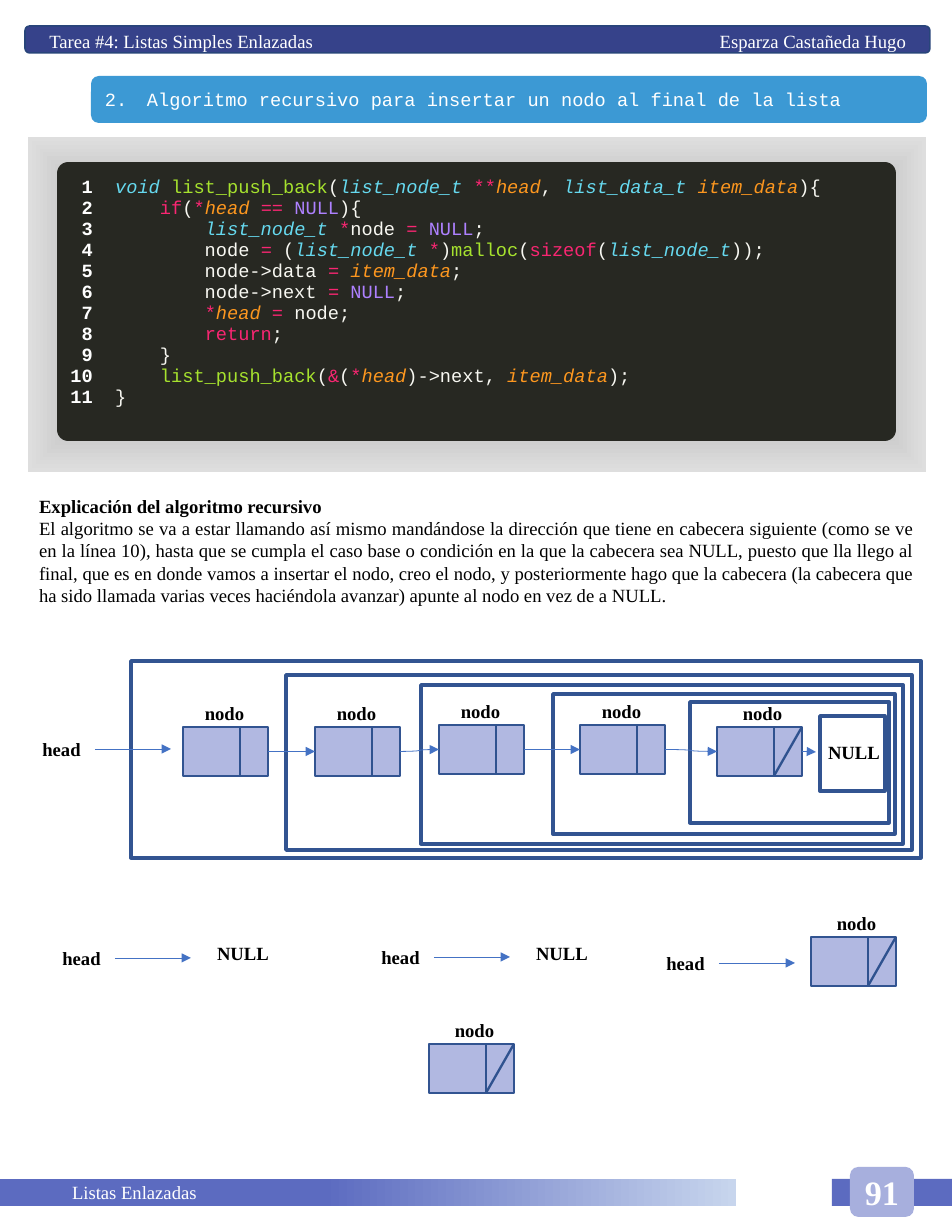
"""Build the page on recursive insertion at the end of a linked list."""
from dataclasses import dataclass
from itertools import groupby

from lxml import etree
from pptx import Presentation
from pptx.dml.color import RGBColor
from pptx.enum.shapes import MSO_CONNECTOR as Link, MSO_SHAPE as Shape
from pptx.enum.text import MSO_ANCHOR as Anchor, MSO_AUTO_SIZE as AutoSize, PP_ALIGN as Align
from pptx.oxml import parse_xml
from pptx.oxml.ns import nsdecls, qn
from pptx.util import Inches, Pt


@dataclass(frozen=True)
class Theme:
    serif: str = "Times New Roman"
    mono: str = "Courier New"
    body: int = 12
    page: int = 22
    black: str = "000000"
    white: str = "FFFFFF"
    header: str = "36428A"
    header_edge: str = "28457A"
    title: str = "3C99D4"
    editor: str = "272822"
    cell: str = "B1B8E1"
    edge: str = "325491"
    divider: str = "2F528F"
    arrow: str = "4472C4"
    footer: str = "5C6BC0"
    footer_end: str = "C7D5ED"
    badge: str = "A7AFDD"
    plain: str = "F8F8F2"
    type_name: str = "66D9EF"
    function: str = "A6E22E"
    keyword: str = "F92672"
    argument: str = "FD971F"
    constant: str = "AE81FF"


theme = Theme()
PX = Inches(1) // 112


def add_block(shapes, kind, box, fill=None, edge=None, width=1.5):
    block = shapes.add_shape(kind, *(n * PX for n in box))
    block.shadow.inherit = False
    if fill:
        block.fill.solid()
        block.fill.fore_color.rgb = RGBColor.from_string(fill)
    else:
        block.fill.background()
    if edge:
        block.line.color.rgb = RGBColor.from_string(edge)
        block.line.width = Pt(width)
    else:
        block.line.fill.background()
    return block


def write(frame, text, color, size=theme.body, bold=False, font=theme.serif, align=Align.LEFT):
    frame.text = text
    for paragraph in frame.paragraphs:
        paragraph.alignment = align
        for run in paragraph.runs:
            run.font.name, run.font.size, run.font.bold = font, Pt(size), bold
            run.font.color.rgb = RGBColor.from_string(color)


deck = Presentation()
deck.slide_width, deck.slide_height = Inches(8.5), Inches(11)
slide = deck.slides.add_slide(deck.slide_layouts[5])
shapes = slide.shapes

header = add_block(shapes, Shape.ROUNDED_RECTANGLE, (25, 26, 905, 27), theme.header, theme.header_edge, 1)
write(header.text_frame, "Tarea #4: Listas Simples Enlazadas\tEsparza Castañeda Hugo", theme.white)
header.text_frame.margin_left, header.text_frame.margin_right = 23 * PX, 11 * PX
header.text_frame.margin_top, header.text_frame.margin_bottom = 4 * PX, 0
header.text_frame.vertical_anchor = Anchor.MIDDLE
tabs = etree.SubElement(header.text_frame.paragraphs[0]._p.get_or_add_pPr(), qn("a:tabLst"))
etree.SubElement(tabs, qn("a:tab"), pos=str(857 * PX), algn="r")

title_box = (91, 76, 836, 47)
add_block(shapes, Shape.ROUNDED_RECTANGLE, title_box, theme.title)
title = shapes.title
title.left, title.top, title.width, title.height = (n * PX for n in title_box)
write(title.text_frame, "Algoritmo recursivo para insertar un nodo al final de la lista", theme.white, font=theme.mono)
title.text_frame.margin_left = 14 * PX
title.text_frame.vertical_anchor = Anchor.MIDDLE
title.text_frame.auto_size = AutoSize.NONE
numbering = title.text_frame.paragraphs[0]._p.get_or_add_pPr()
numbering.set("marL", str(42 * PX))
numbering.set("indent", str(-42 * PX))
etree.SubElement(numbering, qn("a:buAutoNum"), type="arabicPeriod", startAt="2")
title._element.getparent().append(title._element)

backdrop = add_block(shapes, Shape.RECTANGLE, (28, 137, 898, 335), theme.white)
backdrop_fill = backdrop._element.spPr.find(qn("a:solidFill"))
stops = "".join(
    f'<a:gs pos="{percent}000"><a:srgbClr val="{color}"/></a:gs>'
    for percent, color in ((11, "7B7B7B"), (61, "BCBCBC"), (100, "DEDEDE"))
)
backdrop_fill.getparent().replace(backdrop_fill, parse_xml(
    f'<a:gradFill {nsdecls("a")}><a:gsLst>{stops}</a:gsLst><a:path path="rect">'
    '<a:fillToRect l="50000" t="50000" r="50000" b="50000"/></a:path></a:gradFill>'
))
editor = add_block(shapes, Shape.ROUNDED_RECTANGLE, (57, 162, 839, 279), theme.editor)
editor.adjustments[0] = 0.04

code = """void list_push_back(list_node_t **head, list_data_t item_data){
    if(*head == NULL){
        list_node_t *node = NULL;
        node = (list_node_t *)malloc(sizeof(list_node_t));
        node->data = item_data;
        node->next = NULL;
        *head = node;
        return;
    }
    list_push_back(&(*head)->next, item_data);
}"""
syntax = {
    theme.type_name: ("void", "list_node_t", "list_data_t"),
    theme.function: ("list_push_back", "malloc"),
    theme.keyword: ("if", "sizeof", "return", "*", "**", "=", "==", "&"),
    theme.argument: ("head", "item_data"),
    theme.constant: ("NULL",),
}
token_color = {word: color for color, words in syntax.items() for word in words}
code_lines = code.split("\n")
listing = shapes.add_table(1, 2, 57 * PX, 172 * PX, 813 * PX, 227 * PX).table
listing._tbl.tblPr[0].text = "{2D5ABB26-0587-4C30-8999-92F81FD0307C}"
listing.first_row = listing.horz_banding = False
listing.columns[0].width, listing.columns[1].width = 47 * PX, 766 * PX
number_cell, code_cell = listing.cell(0, 0), listing.cell(0, 1)
for cell in (number_cell, code_cell):
    cell.fill.background()
line_numbers = "\n".join(str(n) for n in range(1, len(code_lines) + 1))
write(number_cell.text_frame, line_numbers, theme.white, bold=True, font=theme.mono, align=Align.RIGHT)
for index, code_line in enumerate(code_lines):
    paragraph = code_cell.text_frame.add_paragraph() if index else code_cell.text_frame.paragraphs[0]
    for _, letters in groupby(code_line, lambda c: (c.isalnum() or c == "_", c in "*=&")):
        run = paragraph.add_run()
        run.text = "".join(letters)
        color = token_color.get(run.text, theme.plain)
        run.font.name, run.font.size, run.font.bold = theme.mono, Pt(theme.body), False
        run.font.italic = color in (theme.type_name, theme.argument)
        run.font.color.rgb = RGBColor.from_string(color)

explanation = shapes.add_textbox(28 * PX, 489 * PX, 898 * PX, 124 * PX).text_frame
explanation.word_wrap = True
write(explanation, "Explicación del algoritmo recursivo\n"
      "El algoritmo se va a estar llamando así mismo mandándose la dirección que tiene en cabecera "
      "siguiente (como se ve en la línea 10), hasta que se cumpla el caso base o condición en la que "
      "la cabecera sea NULL, puesto que lla llego al final, que es en donde vamos a insertar el nodo, "
      "creo el nodo, y posteriormente hago que la cabecera (la cabecera que ha sido llamada varias "
      "veces haciéndola avanzar) apunte al nodo en vez de a NULL.", theme.black, align=Align.JUSTIFY)
explanation.paragraphs[0].runs[0].font.bold = True

for frame_box in ((131, 661, 790, 197), (286, 675, 626, 175), (421, 685, 482, 159),
                  (553, 694, 342, 140), (690, 702, 199, 121), (820, 716, 65, 75)):
    add_block(shapes, Shape.RECTANGLE, frame_box, edge=theme.edge, width=2.25)

labels = [("NULL", 816, 735, 76), ("NULL", 205, 936, 76), ("NULL", 524, 936, 76)]
labels += [("head", x, y, 67) for x, y in ((28, 732), (48, 941), (367, 940), (652, 946))]
nodes, dividers, arrows = [], [], []
for x, y, is_last in ((183, 727, False), (315, 727, False), (439, 725, False), (580, 725, False),
                      (717, 727, True), (811, 937, True), (429, 1044, True)):
    group = shapes.add_group_shape().shapes
    nodes.append(add_block(group, Shape.RECTANGLE, (x, y, 85, 49), theme.cell, theme.edge))
    for top_x in (57, 85) if is_last else (57,):
        ends = (x + top_x, y, x + 57, y + 49)
        dividers.append(group.add_connector(Link.STRAIGHT, *(n * PX for n in ends)))
    labels.append(("nodo", x + (12 if is_last else 8), y - 31, 67))

chain = nodes[:5]
for word, x, y, width in labels:
    label = shapes.add_textbox(x * PX, y * PX, width * PX, 34 * PX)
    label.text_frame.word_wrap = True
    label.text_frame.margin_left = label.text_frame.margin_right = 0
    write(label.text_frame, word, theme.black, bold=True, align=Align.CENTER)
    if word == "head":
        ends = (x + width, y + 17, x + 143, y + 17)
        arrows.append(shapes.add_connector(Link.CURVE, *(n * PX for n in ends)))
        arrows[-1].begin_connect(label, 3)
    elif len(chain) == 5:
        chain.append(label)
for start, end in zip(chain, chain[1:]):
    arrows.append(shapes.add_connector(Link.CURVE, 0, 0, 0, 0))
    arrows[-1].begin_connect(start, 3)
    arrows[-1].end_connect(end, 1)

for connectors, color, width in ((dividers, theme.divider, 1.5), (arrows, theme.arrow, 0.5)):
    for connector in connectors:
        connector.line.color.rgb = RGBColor.from_string(color)
        connector.line.width = Pt(width)
        if connectors is arrows:
            etree.SubElement(connector.line._get_or_add_ln(), qn("a:tailEnd"), type="triangle")
        etree.SubElement(connector._element.spPr, qn("a:effectLst"))

footer = add_block(shapes, Shape.RECTANGLE, (0, 1179, 736, 27), theme.footer)
footer.fill.gradient()
footer.fill.gradient_angle = 0
for stop, position, color in zip(footer.fill.gradient_stops, (0.44, 1), (theme.footer, theme.footer_end)):
    stop.position, stop.color.rgb = position, RGBColor.from_string(color)
write(footer.text_frame, "Listas Enlazadas", theme.white)
footer.text_frame.margin_left = 72 * PX
footer.text_frame.vertical_anchor = Anchor.MIDDLE
add_block(shapes, Shape.RECTANGLE, (832, 1179, 120, 27), theme.footer)
badge = add_block(shapes, Shape.ROUNDED_RECTANGLE, (850, 1167, 64, 50), theme.badge)
write(badge.text_frame, "91", theme.white, theme.page, True, align=Align.CENTER)
badge.text_frame.vertical_anchor = Anchor.MIDDLE

deck.save("out.pptx")
